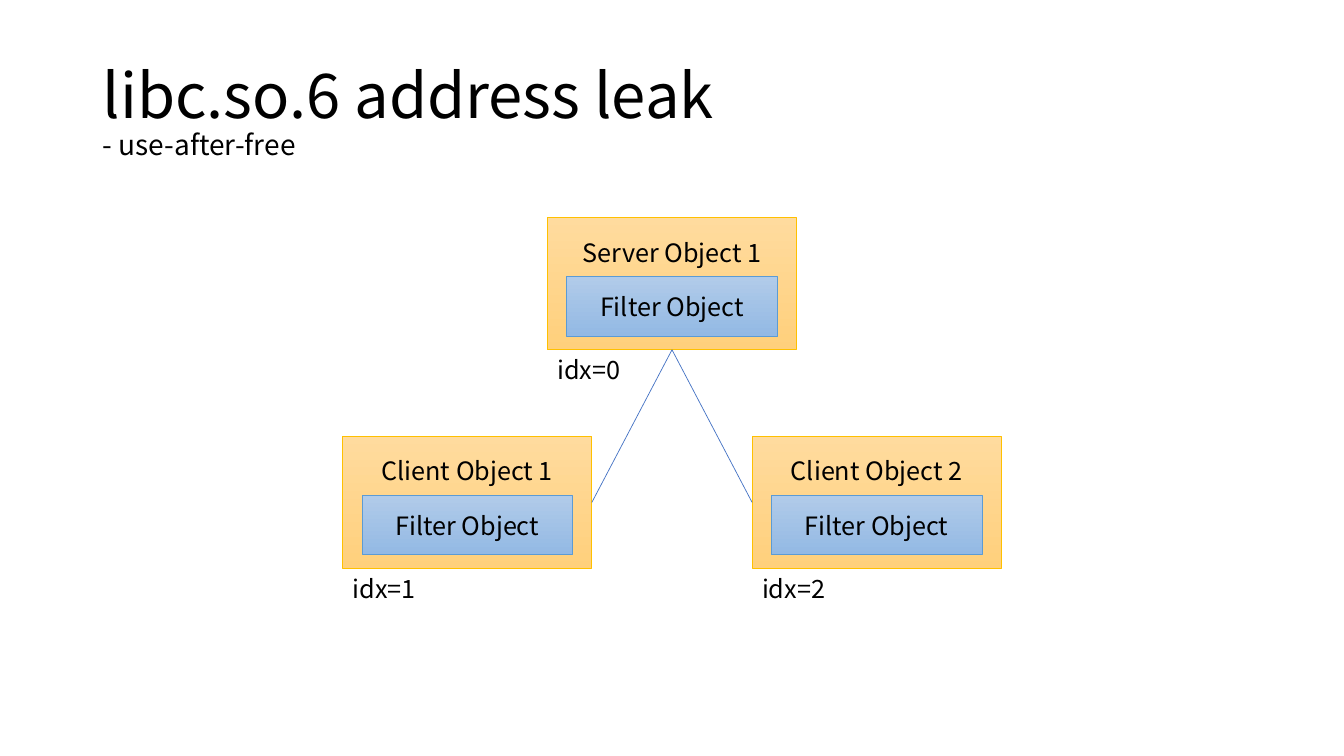
from dataclasses import dataclass

from pptx import Presentation
from pptx.dml.color import RGBColor
from pptx.enum.shapes import MSO_CONNECTOR, MSO_SHAPE
from pptx.enum.text import MSO_ANCHOR, PP_ALIGN
from pptx.oxml.ns import qn
from pptx.util import Inches, Pt
from lxml.etree import SubElement


@dataclass(frozen=True)
class Theme:
    font: str = "Noto Sans CJK KR"
    text: str = "000000"
    title_size: int = 44
    subtitle_size: int = 20
    body_size: int = 18
    object_fill: tuple = ("FFDB9E", "FFD07C")
    object_line: str = "FFC000"
    filter_fill: tuple = ("B1CBE9", "93B9E4")
    filter_line: str = "5B9BD5"
    link_line: str = "4472C4"
    line_width: float = 0.5


THEME = Theme()
SLIDE_WIDTH, SLIDE_HEIGHT = Inches(13.33), Inches(7.5)

# Percent of the slide's width or height
CARD_WIDTH, CARD_HEIGHT = 18.53, 17.47
COLUMN_STEP, ROW_STEP = 15.23, 28.93
FIRST_ROW_TOP = 28.8
FILTER_INSET, FILTER_DROP, FILTER_HEIGHT = 1.43, 7.8, 7.87
LABEL_WIDTH, LABEL_HEIGHT = 7.43, 5.33

# Text, index, column from the centre, row
SERVER = ("Server Object 1", 0, 0, 0)
CLIENTS = [("Client Object 1", 1, -1, 1), ("Client Object 2", 2, 1, 1)]


def area(left, top, width, height):
    """Turn percentages of the slide into lengths."""
    return (int(SLIDE_WIDTH * left / 100), int(SLIDE_HEIGHT * top / 100),
            int(SLIDE_WIDTH * width / 100), int(SLIDE_HEIGHT * height / 100))


def style_font(font, size):
    font.name = THEME.font
    font.size = Pt(size)
    font.color.rgb = RGBColor.from_string(THEME.text)


def add_title(slide, title, subtitle):
    frame = slide.shapes.add_textbox(*area(6.9, 5.33, 86.27, 19.33)).text_frame
    frame.word_wrap = True
    frame.vertical_anchor = MSO_ANCHOR.MIDDLE
    paragraph = frame.paragraphs[0]
    paragraph.line_spacing = 0.9
    for text, size in ((title, THEME.title_size), (subtitle, THEME.subtitle_size)):
        if paragraph.runs:
            paragraph.add_line_break()
        run = paragraph.add_run()
        run.text = text
        style_font(run.font, size)


def add_box(slide, place, text, colors, line_color):
    shape = slide.shapes.add_shape(MSO_SHAPE.RECTANGLE, *area(*place))
    shape.shadow.inherit = False
    shape.fill.gradient()
    shape.fill.gradient_angle = 270
    for stop, color in zip(shape.fill.gradient_stops, colors):
        stop.color.rgb = RGBColor.from_string(color)
    shape.line.color.rgb = RGBColor.from_string(line_color)
    shape.line.width = Pt(THEME.line_width)
    frame = shape.text_frame
    frame.vertical_anchor = MSO_ANCHOR.MIDDLE
    paragraph = frame.paragraphs[0]
    paragraph.text = text
    paragraph.alignment = PP_ALIGN.CENTER
    style_font(paragraph.font, THEME.body_size)
    return shape


def add_index_label(slide, left, top, index):
    label = slide.shapes.add_textbox(*area(left, top, LABEL_WIDTH, LABEL_HEIGHT))
    label.text_frame.word_wrap = True
    paragraph = label.text_frame.paragraphs[0]
    paragraph.text = f"idx={index}"
    style_font(paragraph.font, THEME.body_size)


def add_object(slide, text, index, column, row):
    """Add an object card with its filter and index; return the card."""
    left = 50 - CARD_WIDTH / 2 + column * COLUMN_STEP
    top = FIRST_ROW_TOP + row * ROW_STEP
    card = add_box(slide, (left, top, CARD_WIDTH, CARD_HEIGHT), text,
                   THEME.object_fill, THEME.object_line)
    card.text_frame.vertical_anchor = MSO_ANCHOR.TOP
    card.text_frame.margin_top = Inches(0.19)
    filter_place = (left + FILTER_INSET, top + FILTER_DROP,
                    CARD_WIDTH - 2 * FILTER_INSET, FILTER_HEIGHT)
    add_box(slide, filter_place, "Filter Object",
            THEME.filter_fill, THEME.filter_line)
    add_index_label(slide, left, top + CARD_HEIGHT, index)
    return card


def add_link(slide, server, client):
    """Join the server's bottom to the client's facing side."""
    bottom, left_side, right_side = 2, 1, 3
    link = slide.shapes.add_connector(MSO_CONNECTOR.STRAIGHT, 0, 0, 0, 0)
    link.begin_connect(server, bottom)
    link.end_connect(client, right_side if client.left < server.left else left_side)
    link.line.color.rgb = RGBColor.from_string(THEME.link_line)
    link.line.width = Pt(THEME.line_width)
    SubElement(link.element.spPr, qn("a:effectLst"))


def main():
    presentation = Presentation()
    presentation.slide_width = SLIDE_WIDTH
    presentation.slide_height = SLIDE_HEIGHT
    slide = presentation.slides.add_slide(presentation.slide_layouts[6])
    add_title(slide, "libc.so.6 address leak", "- use-after-free")
    server = add_object(slide, *SERVER)
    clients = [add_object(slide, *client) for client in CLIENTS]
    for client in clients:
        add_link(slide, server, client)
    presentation.save("out.pptx")


if __name__ == "__main__":
    main()
